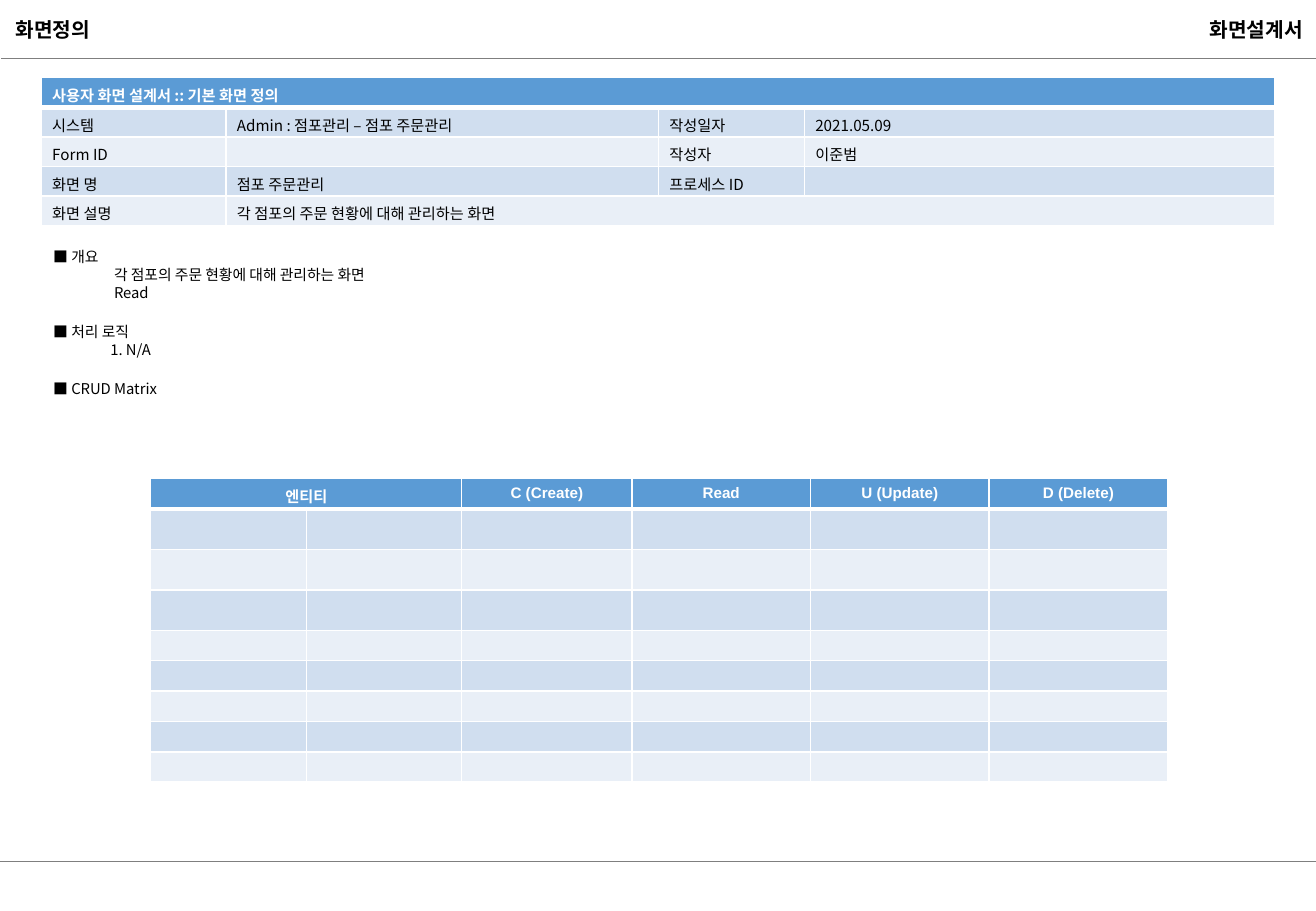
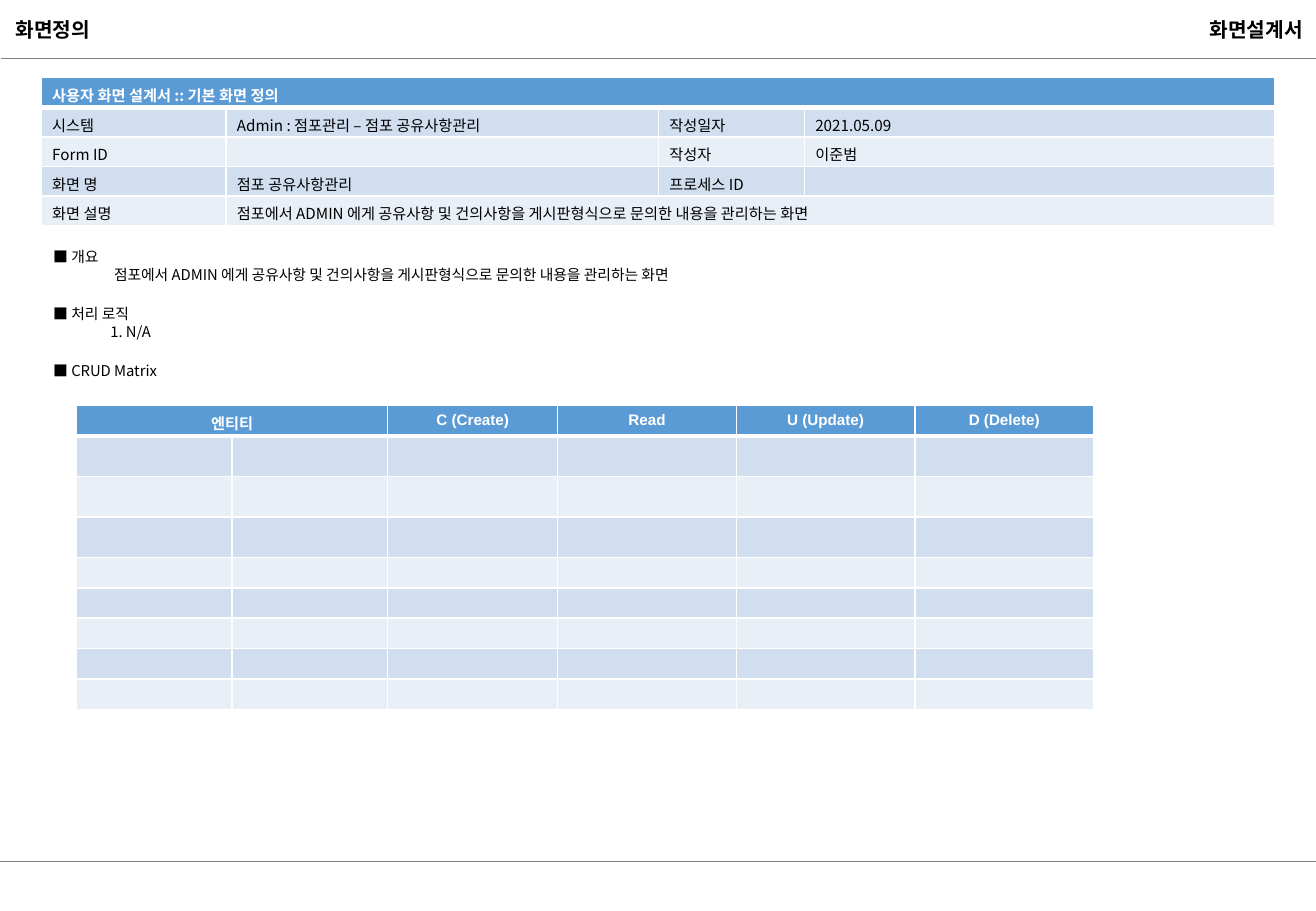
from dataclasses import dataclass

from lxml.etree import SubElement
from pptx import Presentation
from pptx.dml.color import RGBColor
from pptx.enum.shapes import MSO_CONNECTOR
from pptx.enum.text import MSO_ANCHOR, PP_ALIGN
from pptx.oxml.ns import qn
from pptx.util import Inches, Pt

WIDTH, HEIGHT = 10.83, 7.5
KOREAN, LATIN = "Noto Sans CJK KR", "Arial"
BLACK, WHITE, RULE = "000000", "FFFFFF", "7F7F7F"
HEADER, BANDS = "5B9BD5", ("D0DEEF", "E9EFF7")
BODY_SIZE, BODY_LINE = 8.8, 12.7
INFO_COLUMNS = [1.52, 3.56, 1.2, 3.87]
INFO_ROWS = [1.22 / 5] * 5
CRUD_COLUMNS = [1.28] * 2 + [1.4] + [1.47] * 3
CRUD_ROWS = [0.25] + [1 / 3] * 3 + [0.25] * 5
CRUD_HEADINGS = ["엔티티", "", "C (Create)", "Read", "U (Update)", "D (Delete)"]


@dataclass
class Screen:
    """One screen definition and the place of its CRUD matrix."""
    name: str
    description: str
    overview: list[str]
    crud_left: float
    crud_top: float


@dataclass
class Section:
    """A bulleted heading with the indented lines below it."""
    heading: str
    lines: list[str]
    indent: float = 0.5


@dataclass
class Grid:
    """Place, measures and text style of a banded table."""
    left: float
    top: float
    columns: list[float]
    rows: list[float]
    texts: list[list[str]]
    merges: list[tuple[int, int, int]]
    side_margin: float = 0.1
    header_font: str = KOREAN
    header_align: PP_ALIGN = PP_ALIGN.LEFT


def rgb(value: str) -> RGBColor:
    """Turn a hex string into a colour."""
    return RGBColor.from_string(value)


def style(paragraph, size: float, color: str = BLACK, bold: bool = False,
          name: str = KOREAN) -> None:
    """Set the font of a whole paragraph, Korean glyphs included."""
    font = paragraph.font
    font.size, font.bold, font.name = Pt(size), bold, name
    font.color.rgb = rgb(color)
    defaults = paragraph._p.pPr.find(qn("a:defRPr"))
    SubElement(defaults, qn("a:ea"), typeface=KOREAN)
    if not paragraph.runs:
        SubElement(paragraph._p, qn("a:endParaRPr"), sz=str(int(size * 100)))


def add_rule(slide, left: float, top: float) -> None:
    """Draw a thin line to the right edge of the slide."""
    rule = slide.shapes.add_connector(MSO_CONNECTOR.STRAIGHT, Inches(left),
                                      Inches(top), Inches(WIDTH), Inches(top))
    rule.line.color.rgb, rule.line.width = rgb(RULE), Pt(0.75)
    SubElement(rule._element.spPr, qn("a:effectLst"))


def add_frame(slide, left: float, top: float, width: float, height: float):
    """Add a wrapping text box and return its text frame."""
    box = slide.shapes.add_textbox(Inches(left), Inches(top),
                                   Inches(width), Inches(height))
    box.text_frame.word_wrap = True
    return box.text_frame


def add_title(slide, text: str, left: float, width: float,
              align: PP_ALIGN) -> None:
    """Write a bold title in the top band."""
    frame = add_frame(slide, left, 0.09, width, 0.3)
    frame.vertical_anchor = MSO_ANCHOR.MIDDLE
    title = frame.paragraphs[0]
    title.text, title.alignment = text, align
    style(title, 12, bold=True)


def add_page_frame(slide) -> None:
    """Draw the rules and titles that every page shares."""
    add_rule(slide, 0, 7.09)
    add_rule(slide, 0.01, 0.48)
    add_title(slide, "화면정의", 0.03, 0.87, PP_ALIGN.LEFT)
    add_title(slide, "화면설계서", 7.75, 3.07, PP_ALIGN.RIGHT)


def set_borders(cell, top: float, bottom: float) -> None:
    """Give a cell white borders with the given top and bottom widths."""
    properties = cell._tc.get_or_add_tcPr()
    for side, width in (("L", 1), ("R", 1), ("T", top), ("B", bottom)):
        border = SubElement(properties, qn(f"a:ln{side}"), w=str(Pt(width)))
        fill = SubElement(border, qn("a:solidFill"))
        SubElement(fill, qn("a:srgbClr"), val=WHITE)


def fill_cell(cell, grid: Grid, row: int, text: str) -> None:
    """Write and format one cell of a banded table."""
    header = row == 0
    set_borders(cell, 3 if row == 1 else 1, 3 if header else 1)
    cell.fill.solid()
    cell.fill.fore_color.rgb = rgb(HEADER if header else BANDS[(row - 1) % 2])
    cell.margin_left = cell.margin_right = Inches(grid.side_margin)
    cell.margin_top, cell.margin_bottom = Inches(0.05), Inches(0.01)
    paragraph = cell.text_frame.paragraphs[0]
    if text:
        paragraph.text = text
    if header:
        paragraph.alignment = grid.header_align
        style(paragraph, 9, WHITE, True, grid.header_font)
    else:
        style(paragraph, 9)


def add_grid(slide, grid: Grid) -> None:
    """Draw a table with a blue header and banded rows."""
    table = slide.shapes.add_table(
        len(grid.rows), len(grid.columns), Inches(grid.left), Inches(grid.top),
        Inches(sum(grid.columns)), Inches(sum(grid.rows))).table
    for column, width in zip(table.columns, grid.columns):
        column.width = Inches(width)
    for row, height in zip(table.rows, grid.rows):
        row.height = Inches(height)
    for row, texts in enumerate(grid.texts):
        for column, text in enumerate(texts):
            fill_cell(table.cell(row, column), grid, row, text)
    for row, first, last in grid.merges:
        table.cell(row, first).merge(table.cell(row, last))


def add_sections(slide, sections: list[Section]) -> None:
    """Write the headed sections, one line apart."""
    frame = add_frame(slide, 0.34, 1.99, 10.16, 1.32)
    paragraph = frame.paragraphs[0]
    for number, section in enumerate(sections):
        if number:
            paragraph = frame.add_paragraph()
            paragraph.space_before = Pt(BODY_LINE)
        paragraph.text = f"■ {section.heading}"
        style(paragraph, BODY_SIZE)
        for text in section.lines:
            line = frame.add_paragraph()
            line.text, line.level = text, 1
            properties = line._p.get_or_add_pPr()
            properties.set("marL", str(Inches(section.indent)))
            properties.set("indent", "0")
            style(line, BODY_SIZE)


def add_screen(deck, screen: Screen) -> None:
    """Build the page of one screen definition."""
    slide = deck.slides.add_slide(deck.slide_layouts[6])
    add_page_frame(slide)
    info = [
        ["사용자 화면 설계서 :: 기본 화면 정의", "", "", ""],
        ["시스템", f"Admin : 점포관리 – {screen.name}", "작성일자", "2021.05.09"],
        ["Form ID", "", "작성자", "이준범"],
        ["화면 명", screen.name, "프로세스 ID", ""],
        ["화면 설명", screen.description, "", ""],
    ]
    add_grid(slide, Grid(0.34, 0.64, INFO_COLUMNS, INFO_ROWS, info,
                         [(0, 0, 3), (4, 1, 3)], side_margin=0.09))
    add_sections(slide, [
        Section("개요", screen.overview),
        Section("처리 로직", ["1. N/A"], 0.47),
        Section("CRUD Matrix", []),
    ])
    entities = [[""] * len(CRUD_COLUMNS) for _ in CRUD_ROWS[1:]]
    add_grid(slide, Grid(screen.crud_left, screen.crud_top, CRUD_COLUMNS,
                         CRUD_ROWS, [CRUD_HEADINGS] + entities, [(0, 0, 1)],
                         header_font=LATIN, header_align=PP_ALIGN.CENTER))


def main() -> None:
    """Build and save the screen definitions."""
    deck = Presentation()
    deck.slide_width, deck.slide_height = Inches(WIDTH), Inches(HEIGHT)
    orders = "각 점포의 주문 현황에 대해 관리하는 화면"
    notices = ("점포에서 ADMIN 에게 공유사항 및 건의사항을 게시판형식으로 "
               "문의한 내용을 관리하는 화면")
    for screen in (
        Screen("점포 주문관리", orders, [orders, "Read"], 1.24, 3.94),
        Screen("점포 공유사항관리", notices, [notices], 0.63, 3.34),
    ):
        add_screen(deck, screen)
    deck.save("out.pptx")


main()
